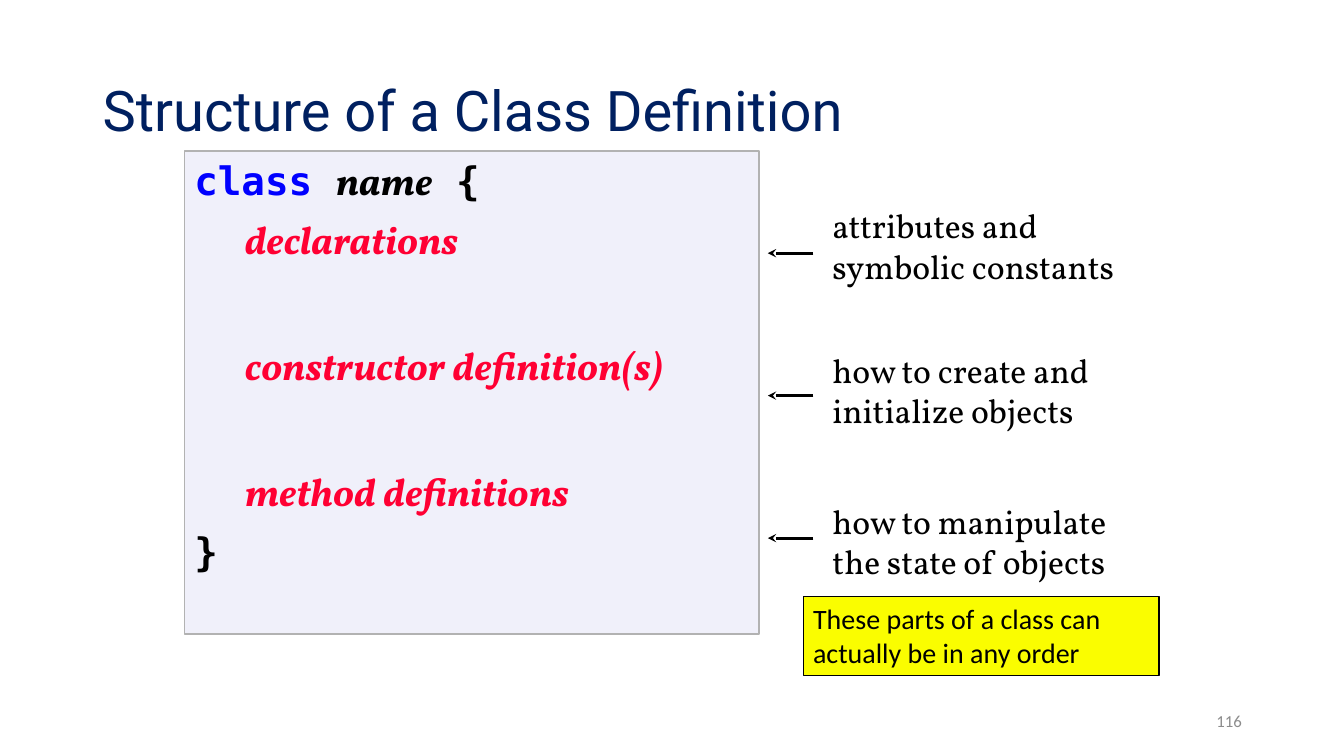
from lxml import etree
from pptx import Presentation
from pptx.dml.color import RGBColor
from pptx.enum.shapes import MSO_CONNECTOR as CONN, MSO_SHAPE as SHAPE
from pptx.enum.text import MSO_ANCHOR as ANCHOR, PP_ALIGN as ALIGN
from pptx.oxml.ns import qn
from pptx.util import Cm, Pt

NAVY = RGBColor(0x00, 0x20, 0x60)
BLUE = RGBColor(0x00, 0x00, 0xFF)
RED = RGBColor(0xFF, 0x00, 0x33)
BLACK = RGBColor(0x00, 0x00, 0x00)
GRAY = RGBColor(0x8C, 0x8C, 0x8C)
SILVER = RGBColor(0xB2, 0xB2, 0xB2)
LAVENDER = RGBColor(0xF0, 0xF0, 0xFA)
YELLOW = RGBColor(0xFA, 0xFD, 0x00)

TITLE = dict(name="Roboto", size=Pt(40), color=NAVY)
NUMBER = dict(name="Calibri", size=Pt(12), color=GRAY)
NOTE = dict(name="Vollkorn", size=Pt(24), color=BLACK)
REMARK = dict(name="Calibri", size=Pt(20), color=BLACK)
BRACE = dict(name="DejaVu Sans Mono", size=Pt(28), bold=True, color=BLACK)
KEYWORD = dict(BRACE, color=BLUE)
NAME = dict(BRACE, name="Vollkorn", italic=True)
PART = dict(NAME, color=RED)

CODE = [
    (0, [("class ", KEYWORD), ("name", NAME), (" {", BRACE)]),
    (8.7, [("\tdeclarations", PART)]),
    (56.3, [("\tconstructor definition(s)", PART)]),
    (56.3, [("\tmethod definitions", PART)]),
    (9.4, [("}", BRACE)]),
]
NOTES = [
    ("attributes and symbolic constants", 5.05, 8.28),
    ("how to create and initialize objects", 8.69, 8.28),
    ("how to manipulate the state of objects", 12.5, 8.05),
]


def add_run(p, text, style):
    r = p.add_run()
    r.text = text
    for key, value in style.items():
        if key == "color":
            r.font.color.rgb = value
        else:
            setattr(r.font, key, value)


def set_frame(tf, **style):
    for key, value in dict(word_wrap=True, vertical_anchor=ANCHOR.TOP, **style).items():
        setattr(tf, key, value)


def add_text(s, text, box, style, anchor=ANCHOR.TOP, align=ALIGN.LEFT, line_spacing=1.0):
    tf = s.shapes.add_textbox(*map(Cm, box)).text_frame
    set_frame(tf)
    tf.vertical_anchor = anchor
    p = tf.paragraphs[0]
    p.alignment = align
    p.line_spacing = line_spacing
    add_run(p, text, style)


def add_panel(s, box, fill, line, width, paragraphs):
    sp = s.shapes.add_shape(SHAPE.RECTANGLE, *map(Cm, box))
    sp.shadow.inherit = False
    sp.fill.solid()
    sp.fill.fore_color.rgb = fill
    sp.line.color.rgb = line
    sp.line.width = Pt(width)
    tf = sp.text_frame
    set_frame(tf)
    for i, (space, runs) in enumerate(paragraphs):
        p = tf.add_paragraph() if i else tf.paragraphs[0]
        p.alignment = ALIGN.LEFT
        p.space_before = Pt(space)
        for text, style in runs:
            add_run(p, text, style)


def add_arrow(s, y):
    c = s.shapes.add_connector(CONN.STRAIGHT, Cm(20.5), Cm(y), Cm(19.35), Cm(y))
    c.line.color.rgb = BLACK
    c.line.width = Pt(2)
    etree.SubElement(c.line._get_or_add_ln(), qn("a:tailEnd"), type="stealth")
    etree.SubElement(c._element.spPr, qn("a:effectLst"))


def main():
    prs = Presentation()
    prs.slide_width, prs.slide_height = Cm(33.87), Cm(19.05)
    s = prs.slides.add_slide(prs.slide_layouts[6])
    add_text(s, "116", (23.93, 17.65, 7.62, 1.02), NUMBER, ANCHOR.MIDDLE, ALIGN.RIGHT)
    add_text(s, "Structure of a Class Definition", (2.34, 1.02, 29.21, 3.68), TITLE,
             ANCHOR.MIDDLE, line_spacing=0.9)
    add_panel(s, (4.65, 3.81, 14.48, 12.17), LAVENDER, SILVER, 1, CODE)
    for i, (text, top, width) in enumerate(NOTES):
        add_text(s, text, (20.73, top, width, 2.31), NOTE)
        add_arrow(s, 6.38 + i * 3.59)
    add_panel(s, (20.24, 15.04, 8.97, 1.98), YELLOW, BLACK, 0.75,
              [(0, [("These parts of a class can actually be in any order", REMARK)])])
    prs.save("out.pptx")


if __name__ == "__main__":
    main()
